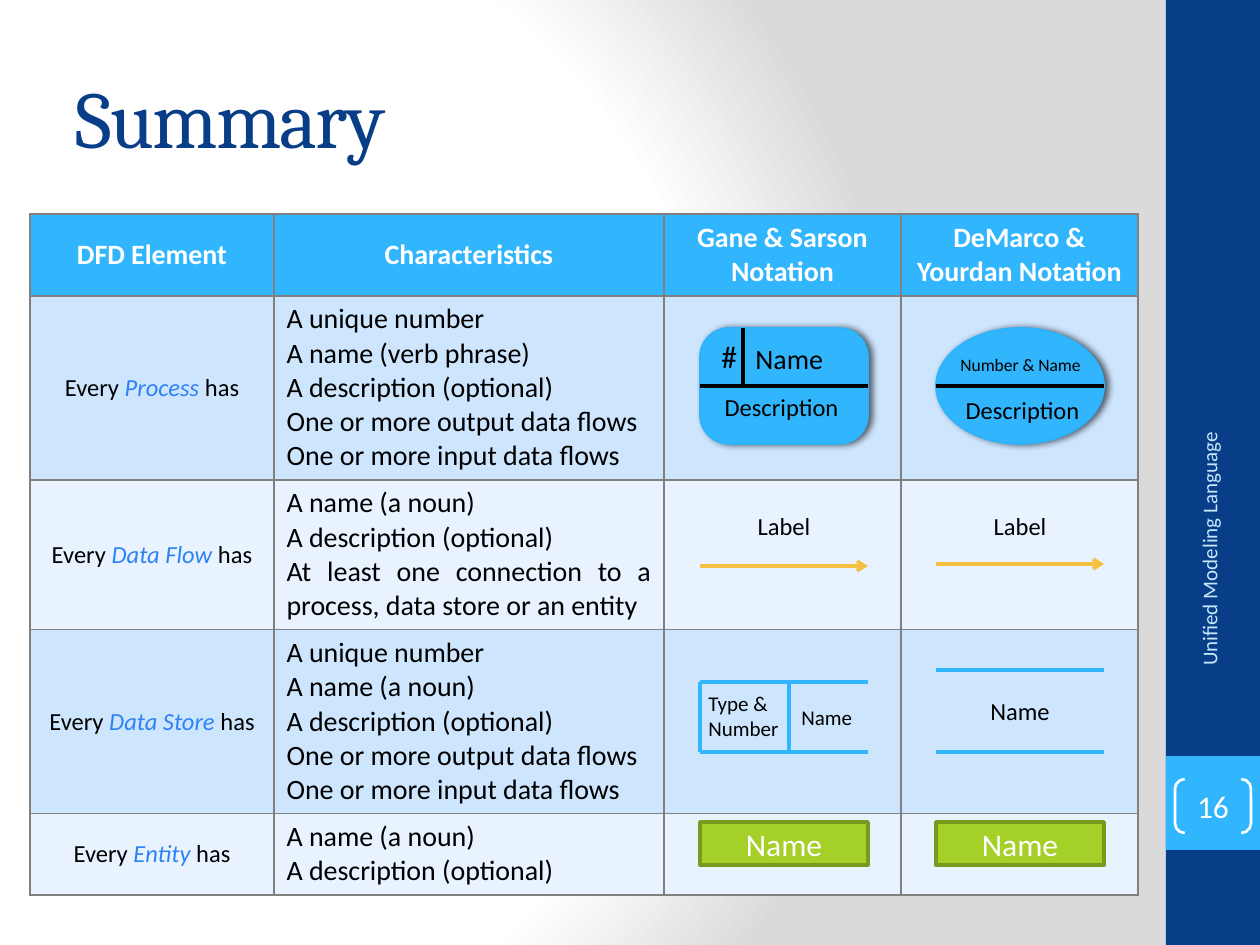
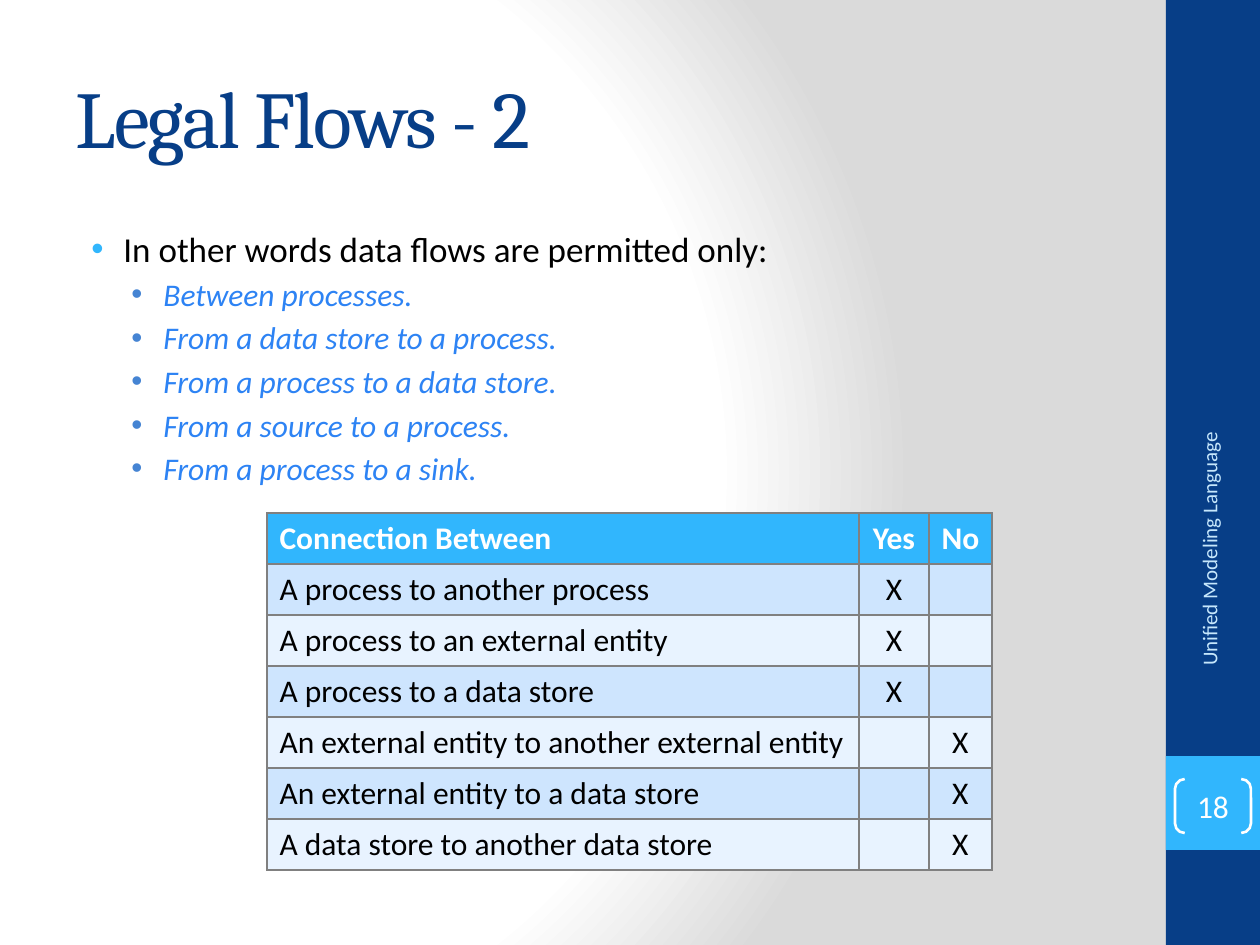
"""Build two slides on data flow diagrams: notation summary and legal flows."""
from dataclasses import dataclass
from lxml.etree import SubElement
from pptx import Presentation
from pptx.dml.color import RGBColor
from pptx.enum.shapes import MSO_CONNECTOR, MSO_SHAPE
from pptx.enum.text import MSO_ANCHOR, MSO_AUTO_SIZE, PP_ALIGN
from pptx.oxml import parse_xml
from pptx.oxml.ns import nsdecls, qn
from pptx.util import Pt


@dataclass(frozen=True)
class Theme:
    navy: str = "073E87"
    sky: str = "31B6FD"
    sky_edge: str = "2BB4FC"
    pale_sky: str = "C6E7FC"
    accent: str = "2D83F4"
    sub_bullet: str = "4584D3"
    ink: str = "000000"
    white: str = "FFFFFF"
    backdrop: str = "DADADA"
    border: str = "808080"
    band_dark: str = "CEE5FE"
    band_light: str = "E8F3FF"
    lime: str = "A5D028"
    lime_edge: str = "7A9A1E"
    amber: str = "F5C040"
    heading_font: str = "Cambria"
    body_font: str = "Calibri"
    title: int = 46
    lead: int = 20
    large: int = 18
    medium: int = 16
    small: int = 14
    caption: int = 12
    tiny: int = 10


THEME = Theme()
PX = 914400 / 126
LEFT, CENTER, RIGHT, JUSTIFY = PP_ALIGN.LEFT, PP_ALIGN.CENTER, PP_ALIGN.RIGHT, PP_ALIGN.JUSTIFY
TOP, MIDDLE = MSO_ANCHOR.TOP, MSO_ANCHOR.MIDDLE
CENTERED_FRAME = {"word_wrap": True, "vertical_anchor": MIDDLE, "auto_size": MSO_AUTO_SIZE.NONE}
TIGHT_FRAME = CENTERED_FRAME | dict.fromkeys(
    ["margin_left", "margin_right", "margin_top", "margin_bottom"], 0)


def write(frame, text, size, color=THEME.ink, align=LEFT, settings=None, **font_format):
    """Fill a frame line by line; words between asterisks are accented."""
    for key, value in (settings or {}).items():
        setattr(frame, key, value)
    for number, line in enumerate(text.split("\n")):
        paragraph = frame.add_paragraph() if number else frame.paragraphs[0]
        paragraph.alignment = align
        for position, words in enumerate(line.split("*")):
            if not words:
                continue
            run = paragraph.add_run()
            run.text = words
            accented = position % 2 == 1
            look = {"name": THEME.body_font, "size": Pt(size), "bold": False,
                    "italic": accented} | font_format
            for key, value in look.items():
                setattr(run.font, key, value)
            run.font.color.rgb = RGBColor.from_string(THEME.accent if accented else color)


def connect(slide, x1, y1, x2, y2, color, arrow=False):
    """Draw a straight line without shadow, with an arrowhead on request."""
    connector = slide.shapes.add_connector(
        MSO_CONNECTOR.STRAIGHT, *(int(v * PX) for v in (x1, y1, x2, y2)))
    connector.line.color.rgb = RGBColor.from_string(color)
    connector.line.width = Pt(2)
    properties = connector.element.find(qn("p:spPr"))
    if arrow:
        SubElement(properties.find(qn("a:ln")), qn("a:tailEnd"), type="arrow")
    SubElement(properties, qn("a:effectLst"))
    return connector


prs = Presentation()
prs.slide_width, prs.slide_height = int(1260 * PX), int(945 * PX)
master = prs.slide_master
master.background.fill.solid()
backdrop = next(master.element.iter(qn("p:bgPr")))
stops = "".join(
    f'<a:gs pos="{position}000"><a:srgbClr val="{color}"/></a:gs>'
    for position, color in [(0, THEME.white), (75, THEME.white), (100, THEME.backdrop)])
backdrop.replace(backdrop[0], parse_xml(
    f'<a:gradFill {nsdecls("a")} rotWithShape="1"><a:gsLst>{stops}</a:gsLst>'
    '<a:path path="circle"><a:fillToRect l="20000" t="50000" r="100000" b="50000"/></a:path>'
    '</a:gradFill>'))

slides = []
for heading, page in [("Summary", "16"), ("Legal Flows - 2", "18")]:
    slide = prs.slides.add_slide(prs.slide_layouts[5])
    slides.append(slide)
    title = slide.shapes.title
    title.left, title.top, title.width, title.height = (
        int(v * PX) for v in (63, 38, 1050, 157))
    write(title.text_frame, heading, THEME.title, THEME.navy, settings=CENTERED_FRAME,
          name=THEME.heading_font)
    for run_format in title.element.iter(qn("a:rPr")):
        run_format.set("spc", "-100")

    course = slide.shapes.add_textbox(*(int(v * PX) for v in (1046, 558, 326, 50)))
    course.rotation = 270
    write(course.text_frame, "Unified Modeling Language", THEME.caption, THEME.pale_sky,
          RIGHT, CENTERED_FRAME)

    page_bracket = slide.shapes.add_shape(
        MSO_SHAPE.DOUBLE_BRACKET, *(int(v * PX) for v in (1175, 779, 76, 54)))
    page_bracket.adjustments[0] = 0.18
    page_bracket.fill.background()
    page_bracket.line.color.rgb = RGBColor.from_string(THEME.white)
    page_bracket.line.width = Pt(1.5)
    page_bracket.shadow.inherit = False
    write(page_bracket.text_frame, page, THEME.large, THEME.white, CENTER, TIGHT_FRAME)

summary, legal_flows = slides

for top, height, color in [(0, 945, THEME.navy), (756, 94, THEME.sky)]:
    band = summary.shapes.add_shape(
        MSO_SHAPE.RECTANGLE, *(int(v * PX) for v in (1166, top, 94, height)))
    band.fill.solid()
    band.fill.fore_color.rgb = RGBColor.from_string(color)
    band.line.fill.background()
    band.shadow.inherit = False
    master.shapes.element.append(band.element)

rules = legal_flows.shapes.add_textbox(*(int(v * PX) for v in (63, 221, 1050, 280)))
write(rules.text_frame,
      "In other words data flows are permitted only:\n*Between processes.*\n"
      "*From a data store to a process.*\n*From a process to a data store.*\n"
      "*From a source to a process.*\n*From a process to a sink.*",
      THEME.large, align=JUSTIFY, settings={"word_wrap": True})
for number, rule in enumerate(rules.text_frame.paragraphs):
    indent, bullet_color = (88, THEME.sub_bullet) if number else (48, THEME.sky)
    if number:
        rule.space_before = Pt(3.3)
    else:
        rule.runs[0].font.size = Pt(THEME.lead)
    layout = rule.runs[0].font and next(rules.element.iter(qn("p:txBody"))).findall(
        qn("a:p"))[number].get_or_add_pPr()
    layout.set("marL", str(int(indent * PX)))
    layout.set("indent", str(int(-32 * PX)))
    SubElement(SubElement(layout, qn("a:buClr")), qn("a:srgbClr"), val=bullet_color)
    SubElement(layout, qn("a:buFont"), typeface="Arial")
    SubElement(layout, qn("a:buChar"), char="•")

flow_lines = "One or more output data flows\nOne or more input data flows"
element_rows = [
    ["DFD Element", "Characteristics", "Gane & Sarson Notation", "DeMarco & Yourdan Notation"],
    ["Every *Process* has",
     f"A unique number\nA name (verb phrase)\nA description (optional)\n{flow_lines}", "", ""],
    ["Every *Data Flow* has",
     "A name (a noun)\nA description (optional)\n"
     "At least one connection to a process, data store or an entity", "", ""],
    ["Every *Data Store* has",
     f"A unique number\nA name (a noun)\nA description (optional)\n{flow_lines}", "", ""],
    ["Every *Entity* has", "A name (a noun)\nA description (optional)", "", ""],
]
connection_rows = [
    ["Connection Between", "Yes", "No"],
    ["A process to another process", "X", ""],
    ["A process to an external entity", "X", ""],
    ["A process to a data store", "X", ""],
    ["An external entity to another external entity", "", "X"],
    ["An external entity to a data store", "", "X"],
    ["A data store to another data store", "", "X"],
]
element_header = [(THEME.medium, CENTER, MIDDLE)] * 4
element_body = [(THEME.small, CENTER, MIDDLE), (THEME.medium, JUSTIFY, TOP)] + [
    (THEME.medium, CENTER, TOP)] * 2
connection_format = [(THEME.large, LEFT, TOP)] + [(THEME.large, CENTER, TOP)] * 2

for slide, left, top, widths, heights, rows, header_format, body_format in [
    (summary, 30, 214, [244, 390, 237, 237], [82, 183, 150, 184, 81],
     element_rows, element_header, element_body),
    (legal_flows, 267, 513, [592, 70, 63], [51] * 7,
     connection_rows, connection_format, connection_format),
]:
    frame = slide.shapes.add_table(
        len(rows), len(widths),
        *(int(v * PX) for v in (left, top, sum(widths), sum(heights))))
    table = frame.table
    for column, width in zip(table.columns, widths):
        column.width = int(width * PX)
    for number, (row, height, texts) in enumerate(zip(table.rows, heights, rows)):
        row.height = int(height * PX)
        header = number == 0
        fill = THEME.sky if header else (THEME.band_light, THEME.band_dark)[number % 2]
        formats = header_format if header else body_format
        for cell, text, (size, align, anchor) in zip(row.cells, texts, formats):
            cell.fill.solid()
            cell.fill.fore_color.rgb = RGBColor.from_string(fill)
            cell.vertical_anchor = anchor
            write(cell.text_frame, text, size, THEME.white if header else THEME.ink,
                  align, bold=header)
    for cell_format in frame.element.iter(qn("a:tcPr")):
        for position, side in enumerate(["lnL", "lnR", "lnT", "lnB"]):
            cell_format.insert(position, parse_xml(
                f'<a:{side} {nsdecls("a")} w="12700"><a:solidFill>'
                f'<a:srgbClr val="{THEME.border}"/></a:solidFill></a:{side}>'))

GANE, DEMARCO, SYMBOL_WIDTH = 700, 936, 168
symbols = []
for preset, left, top, height, fill, edge, weight, label in [
    (MSO_SHAPE.ROUNDED_RECTANGLE, GANE, 328, 116, THEME.sky, THEME.sky_edge, 1, ""),
    (MSO_SHAPE.OVAL, DEMARCO, 328, 116, THEME.sky, THEME.sky_edge, 1, ""),
    (MSO_SHAPE.RECTANGLE, GANE, 822, 43, THEME.lime, THEME.lime_edge, 2, "Name"),
    (MSO_SHAPE.RECTANGLE, DEMARCO, 822, 43, THEME.lime, THEME.lime_edge, 2, "Name"),
]:
    symbol = summary.shapes.add_shape(
        preset, *(int(v * PX) for v in (left, top, SYMBOL_WIDTH, height)))
    symbol.fill.solid()
    symbol.fill.fore_color.rgb = RGBColor.from_string(fill)
    symbol.line.color.rgb = RGBColor.from_string(edge)
    symbol.line.width = Pt(weight)
    symbol.shadow.inherit = False
    if label:
        write(symbol.text_frame, label, THEME.large, THEME.white, CENTER, CENTERED_FRAME)
    else:
        next(symbol.element.iter(qn("a:effectLst"))).append(parse_xml(
            f'<a:outerShdw {nsdecls("a")} blurRad="50800" dist="25400" dir="0">'
            f'<a:srgbClr val="{THEME.ink}"><a:alpha val="60000"/></a:srgbClr></a:outerShdw>'))
    symbols.append(symbol)

gane_process = symbols[0]
gane_process.adjustments[0] = 0.25
gane_divider = connect(summary, GANE, 386, GANE + SYMBOL_WIDTH, 386, THEME.ink)
gane_divider.begin_connect(gane_process, 1)
gane_divider.end_connect(gane_process, 3)
connect(summary, 743, 328, 743, 386, THEME.ink)
connect(summary, GANE, 752, GANE, 682, THEME.sky)
connect(summary, 789, 684, 789, 752, THEME.sky)
for left, y, color, arrow in [
    (DEMARCO, 386, THEME.ink, False),
    (GANE, 566, THEME.amber, True),
    (DEMARCO, 564, THEME.amber, True),
    (GANE, 682, THEME.sky, False),
    (GANE, 752, THEME.sky, False),
    (DEMARCO, 670, THEME.sky, False),
    (DEMARCO, 752, THEME.sky, False),
]:
    connect(summary, left, y, left + SYMBOL_WIDTH, y, color, arrow)

for text, left, top, width, height, size, align in [
    ("#", 709, 331, 29, 50, THEME.large, LEFT),
    ("Name", 743, 335, 110, 47, THEME.medium, LEFT),
    ("Description", 709, 386, 145, 43, THEME.small, CENTER),
    ("Number & Name", 948, 348, 146, 34, THEME.tiny, LEFT),
    ("Description", 950, 389, 145, 43, THEME.small, CENTER),
    ("Label", GANE, 505, SYMBOL_WIDTH, 43, THEME.small, CENTER),
    ("Label", DEMARCO, 505, SYMBOL_WIDTH, 43, THEME.small, CENTER),
    ("Type & Number", 696, 684, 100, 63, THEME.caption, LEFT),
    ("Name", 789, 698, 79, 38, THEME.caption, LEFT),
    ("Name", DEMARCO, 690, SYMBOL_WIDTH, 43, THEME.small, CENTER),
]:
    caption = summary.shapes.add_textbox(*(int(v * PX) for v in (left, top, width, height)))
    write(caption.text_frame, text, size, align=align, settings={"word_wrap": True})

prs.save("out.pptx")
